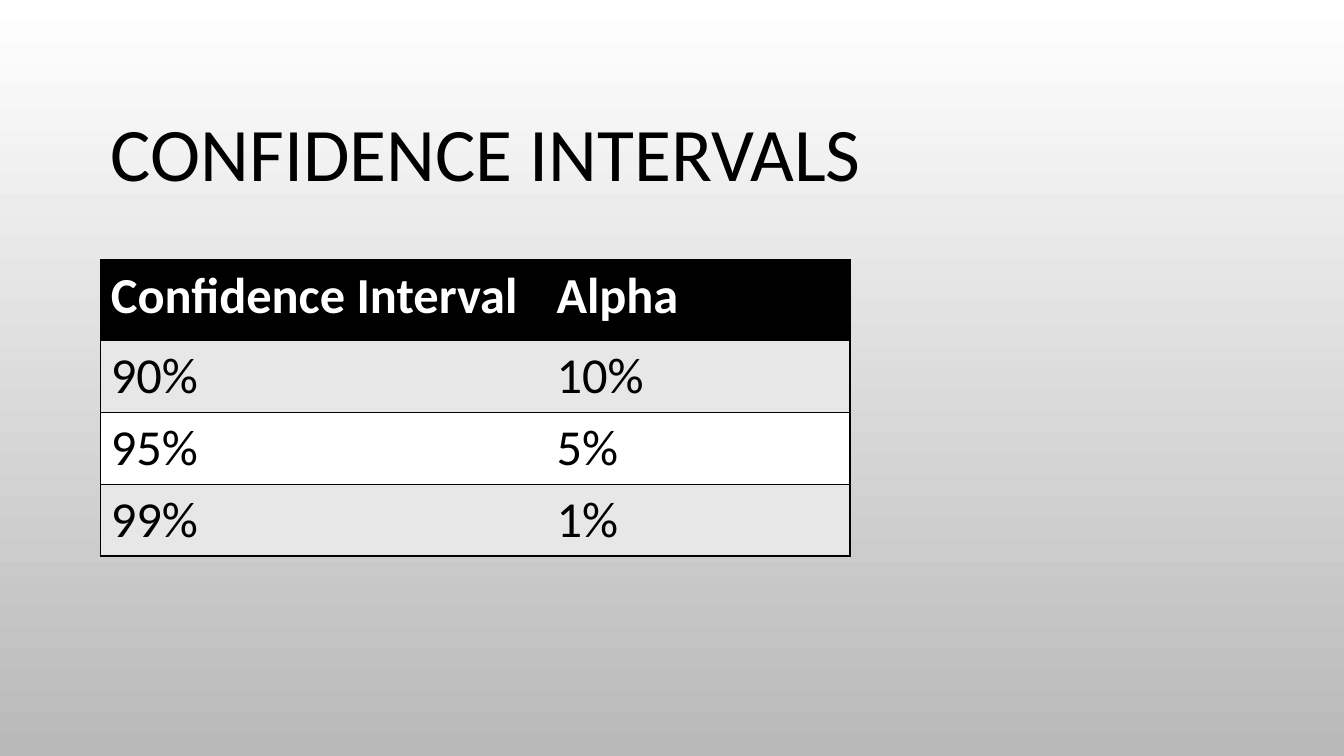
from lxml import etree
from pptx import Presentation
from pptx.dml.color import RGBColor
from pptx.enum import text
from pptx.oxml.ns import qn
from pptx.util import Inches, Pt

# Content
HEADING = "CONFIDENCE INTERVALS"
ROWS = [
    ("Confidence Interval", "Alpha"),
    ("90%", "10%"),
    ("95%", "5%"),
    ("99%", "1%"),
]
COLORS = {"ink": "000000", "paper": "FFFFFF", "band": "E7E7E7", "shade": "B9B9B9"}
FONT = "Calibri"
COLUMN_WIDTHS = (4.42, 3.01)
HEADER_HEIGHT, ROW_HEIGHT = 0.8, 0.71
LEFT = 1


def color(name):
    return RGBColor.from_string(COLORS[name])


def style(paragraph, size, ink, bold=False):
    font = paragraph.font
    font.name, font.size, font.bold = FONT, Pt(size), bold
    font.color.rgb = color(ink)


def add_borders(cell, drawn):
    """Draw the named sides in ink and clear the others."""
    properties = cell._tc.get_or_add_tcPr()
    for index, side in enumerate("LRTB"):
        line = etree.Element(qn(f"a:ln{side}"), w=str(Pt(1)))
        if side in drawn:
            fill = etree.SubElement(line, qn("a:solidFill"))
            etree.SubElement(fill, qn("a:srgbClr"), val=COLORS["ink"])
        else:
            etree.SubElement(line, qn("a:noFill"))
        properties.insert(index, line)


prs = Presentation()
prs.slide_width, prs.slide_height = Inches(13.33), Inches(7.5)
slide = prs.slides.add_slide(prs.slide_layouts[5])

# Background gradient, light at the top
backdrop = slide.background.fill
backdrop.gradient()
backdrop.gradient_angle = 270
for stop, position, name in zip(backdrop.gradient_stops, (0, 1), ("paper", "shade")):
    stop.position = position
    stop.color.rgb = color(name)

# Title
heading = slide.shapes.title
heading.left, heading.top = Inches(LEFT), Inches(0.68)
heading.width, heading.height = Inches(11.33), Inches(1.75)
heading.text_frame.text = HEADING
heading.text_frame.auto_size = text.MSO_AUTO_SIZE.NONE
heading.text_frame.vertical_anchor = text.MSO_ANCHOR.MIDDLE
heading_line = heading.text_frame.paragraphs[0]
heading_line.alignment = text.PP_ALIGN.LEFT
heading_line.line_spacing = 0.9
style(heading_line, 54, "ink")

# Table: dark header, then alternating bands
heights = [HEADER_HEIGHT] + [ROW_HEIGHT] * (len(ROWS) - 1)
intervals = slide.shapes.add_table(
    len(ROWS), len(COLUMN_WIDTHS), Inches(LEFT), Inches(2.58),
    Inches(sum(COLUMN_WIDTHS)), Inches(sum(heights))).table
for column, width in zip(intervals.columns, COLUMN_WIDTHS):
    column.width = Inches(width)
for r, (values, height) in enumerate(zip(ROWS, heights)):
    intervals.rows[r].height = Inches(height)
    is_header = r == 0
    fill_name = "ink" if is_header else ("paper", "band")[r % 2]
    for c, value in enumerate(values):
        cell = intervals.cell(r, c)
        cell.text = value
        cell.fill.solid()
        cell.fill.fore_color.rgb = color(fill_name)
        style(cell.text_frame.paragraphs[0], 36,
              "paper" if is_header else "ink", is_header)
        add_borders(cell, "TB" + "LR"[c])

prs.save("out.pptx")
